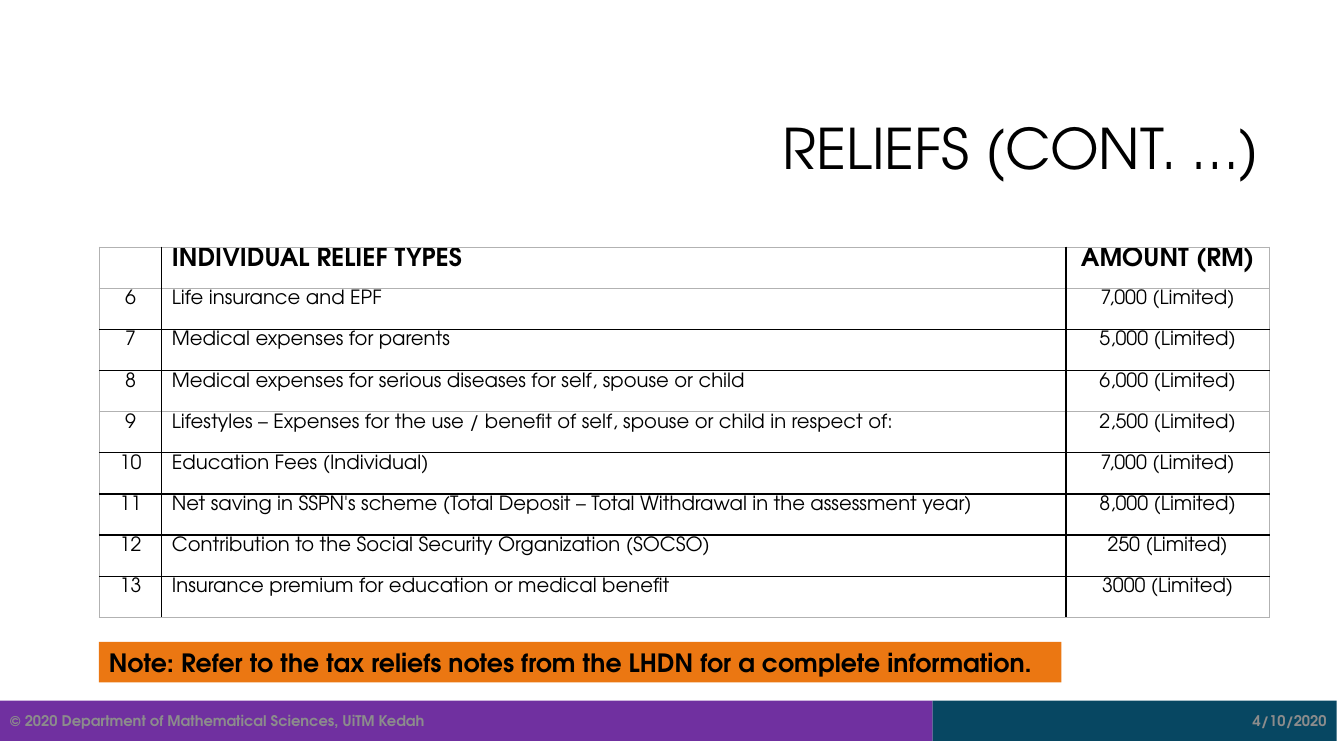
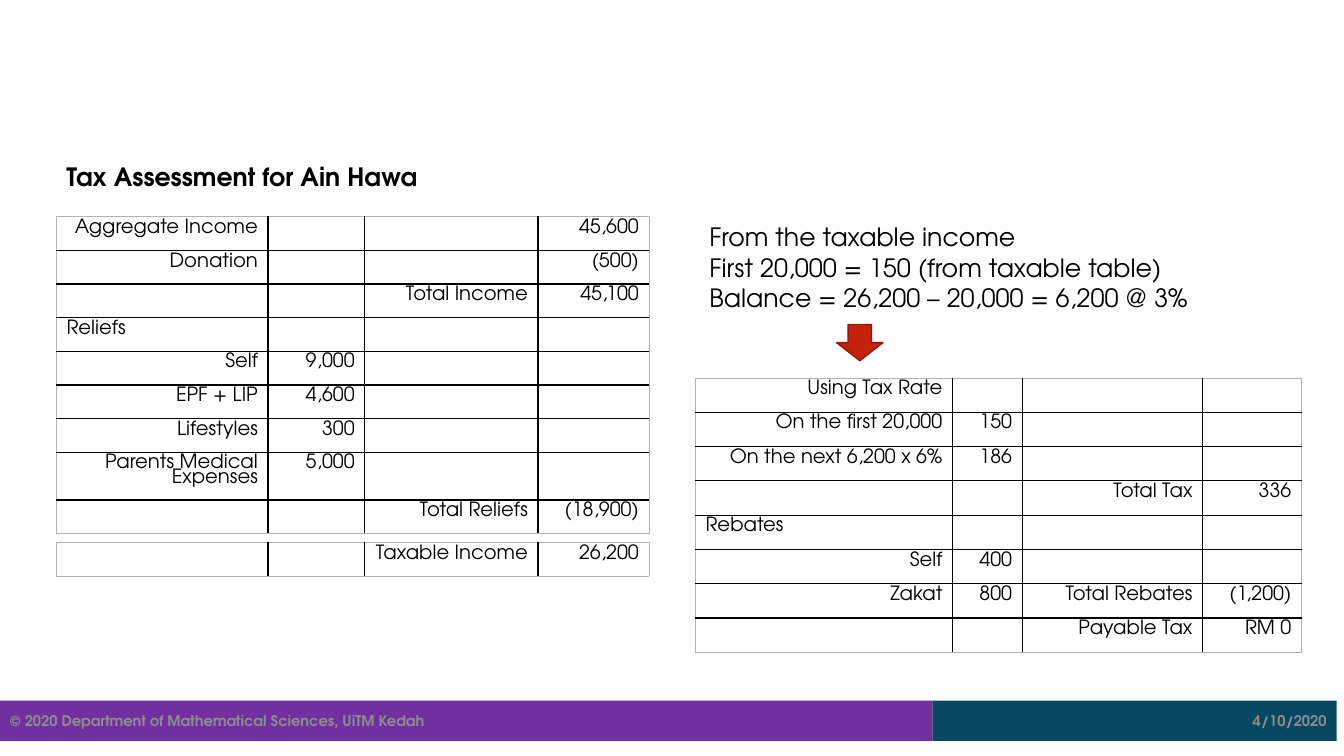
from lxml.etree import SubElement
from pptx import Presentation
from pptx.dml.color import RGBColor
from pptx.enum.shapes import MSO_SHAPE as Shape
from pptx.enum.text import MSO_ANCHOR as Anchor, PP_ALIGN as Align
from pptx.oxml.ns import qn
from pptx.util import Pt

COLORS = {
    "text": "000000", "grid": "000000", "frame": "B2B2B2", "white": "FFFFFF",
    "footer_text": "8C8C8C", "purple": "7030A0", "teal": "074762",
    "orange": "EB7712", "red": "C4220D", "dark_red": "91190A",
}
FONT = "TeX Gyre Adventor"
TITLE_ONLY, BLANK = 5, 6
LEFT, CENTER, RIGHT = Align.LEFT, Align.CENTER, Align.RIGHT
SECTIONS = ("Reliefs", "Rebates")

RELIEFS = [
    ("6", "Life insurance and EPF", "7,000 (Limited)"),
    ("7", "Medical expenses for parents", "5,000 (Limited)"),
    ("8", "Medical expenses for serious diseases for self, spouse or child", "6,000 (Limited)"),
    ("9", "Lifestyles – Expenses for the use / benefit of self, spouse or child in respect of:",
     "2,500 (Limited)"),
    ("10", "Education Fees (Individual)", "7,000 (Limited)"),
    ("11", "Net saving in SSPN's scheme (Total Deposit – Total Withdrawal in the assessment year)",
     "8,000 (Limited)"),
    ("12", "Contribution to the Social Security Organization (SOCSO)", "250 (Limited)"),
    ("13", "Insurance premium for education or medical benefit", "3000 (Limited)"),
]
INCOME = [
    ("Aggregate Income", "", "", "45,600"),
    ("Donation", "", "", "(500)"),
    ("", "", "Total Income", "45,100"),
    ("Reliefs", "", "", ""),
    ("Self", "9,000", "", ""),
    ("EPF + LIP", "4,600", "", ""),
    ("Lifestyles", "300", "", ""),
    ("Parents Medical Expenses", "5,000", "", ""),
    ("", "", "Total Reliefs", "(18,900)"),
]
TAXABLE = [("", "", "Taxable Income", "26,200")]
TAX = [
    ("Using Tax Rate", "", "", ""),
    ("On the first 20,000", "150", "", ""),
    ("On the next 6,200 x 6%", "186", "", ""),
    ("", "", "Total Tax", "336"),
    ("Rebates", "", "", ""),
    ("Self", "400", "", ""),
    ("Zakat", "800", "Total Rebates", "(1,200)"),
    ("", "", "Payable Tax", "RM 0"),
]


def color(name):
    return RGBColor.from_string(COLORS[name])


class Deck:
    """Holds the shared style and the slide being filled."""

    def __init__(self):
        self.presentation = Presentation()
        self.presentation.slide_width = Pt(960)
        self.presentation.slide_height = Pt(540)
        self.slide = None

    def new_slide(self, layout):
        self.slide = self.presentation.slides.add_slide(self.presentation.slide_layouts[layout])
        self.box("4/10/2020", (666, 500.4, 288.7, 28.8), "teal", 10.5, "footer_text", RIGHT)
        self.box("© 2020 Department of Mathematical Sciences, UiTM Kedah",
                 (0, 500.4, 666, 28.8), "purple", 10.5, "footer_text")

    def fill_text(self, frame, text, size, bold=False, ink="text", align=LEFT, spacing=None):
        frame.text = text
        for paragraph in frame.paragraphs:
            paragraph.alignment = align
            paragraph.line_spacing = spacing
            for run in paragraph.runs:
                font = run.font
                font.name, font.size, font.bold = FONT, Pt(size), bold
                font.color.rgb = color(ink)

    def title(self, text, place):
        shape = self.slide.shapes.title
        shape.left, shape.top, shape.width, shape.height = map(Pt, place)
        shape.text_frame.vertical_anchor = Anchor.MIDDLE
        self.fill_text(shape.text_frame, text, 40, align=RIGHT, spacing=0.9)

    def text(self, text, place, bold=False):
        frame = self.slide.shapes.add_textbox(*map(Pt, place)).text_frame
        frame.word_wrap = True
        self.fill_text(frame, text, 18, bold)

    def shape(self, kind, place, fill, line=None):
        shape = self.slide.shapes.add_shape(kind, *map(Pt, place))
        shape.shadow.inherit = False
        shape.fill.solid()
        shape.fill.fore_color.rgb = color(fill)
        if line:
            shape.line.color.rgb = color(line)
            shape.line.width = Pt(1)
        else:
            shape.line.fill.background()
        return shape

    def box(self, text, place, fill, size, ink="text", align=LEFT):
        frame = self.shape(Shape.RECTANGLE, place, fill).text_frame
        frame.vertical_anchor = Anchor.MIDDLE
        self.fill_text(frame, text, size, True, ink, align)

    def border(self, cell, outer_sides):
        properties = cell._tc.get_or_add_tcPr()
        for side, outer in outer_sides.items():
            line = SubElement(properties, qn(f"a:{side}"), w=str(Pt(0.75 if outer else 1)))
            fill = SubElement(line, qn("a:solidFill"))
            SubElement(fill, qn("a:srgbClr"), val=COLORS["frame" if outer else "grid"])

    def table(self, rows, left, top, widths, heights, aligns, size=14, bold=False):
        last_row, last_column = len(rows) - 1, len(widths) - 1
        place = (left, top, sum(widths), sum(heights))
        table = self.slide.shapes.add_table(len(rows), len(widths), *map(Pt, place)).table
        table.first_row = table.horz_banding = False
        for column, width in zip(table.columns, widths):
            column.width = Pt(width)
        for r, (values, height) in enumerate(zip(rows, heights)):
            table.rows[r].height = Pt(height)
            for c, (value, align) in enumerate(zip(values, aligns)):
                cell = table.cell(r, c)
                self.border(cell, {"lnL": c == 0, "lnR": c == last_column,
                                   "lnT": r == 0, "lnB": r == last_row})
                cell.fill.solid()
                cell.fill.fore_color.rgb = color("white")
                align = LEFT if value in SECTIONS else align
                self.fill_text(cell.text_frame, value, size, bold, align=align, spacing=0.8)
                if not value:
                    SubElement(cell.text_frame.paragraphs[0]._p, qn("a:endParaRPr"),
                               sz=str(size * 100))
        return top + sum(heights)


def reliefs_slide(deck):
    deck.new_slide(TITLE_ONLY)
    deck.title("RELIEFS (CONT. …)", (228.2, 57.6, 678.2, 101.5))
    left, widths, height = 71, (44.6, 645.8, 145.4), 29.4
    bottom = deck.table([("", "INDIVIDUAL RELIEF TYPES", "AMOUNT (RM)")], left, 176.4,
                        widths, [height], (CENTER, LEFT, CENTER), 18, True)
    for rows in (RELIEFS[:3], RELIEFS[3:]):
        bottom = deck.table(rows, left, bottom, widths, [height] * len(rows),
                            (CENTER, LEFT, CENTER))
    deck.box("Note: Refer to the tax reliefs notes from the LHDN for a complete information.",
             (70.6, 458.6, 687.6, 28.8), "orange", 18)


def assessment_slide(deck):
    deck.new_slide(BLANK)
    left, top, widths, aligns = 40.3, 154.8, (151.2, 69.1, 123.8, 79.2), [RIGHT] * 4
    deck.text("Tax Assessment for Ain Hawa", (left, 111.6, 339, 28.8), True)
    deck.table(INCOME, left, top, widths, [20] + [23] * 6 + [33, 23], aligns)
    deck.table(TAXABLE, left, 387.4, widths, [24], aligns)
    deck.text("From the taxable income\n"
              "First 20,000 = 150 (from taxable table)\n"
              "Balance = 26,200 – 20,000 = 6,200 @ 3%", (499.7, top, 406, 72.7))
    deck.shape(Shape.DOWN_ARROW, (597.6, 231.8, 33.1, 25.9), "red", "dark_red")
    deck.table(TAX, 496.8, 270, (183.6, 49.7, 128.9, 70.6), [24.5] * len(TAX), aligns)


def main():
    deck = Deck()
    reliefs_slide(deck)
    assessment_slide(deck)
    deck.presentation.save("out.pptx")


if __name__ == "__main__":
    main()
